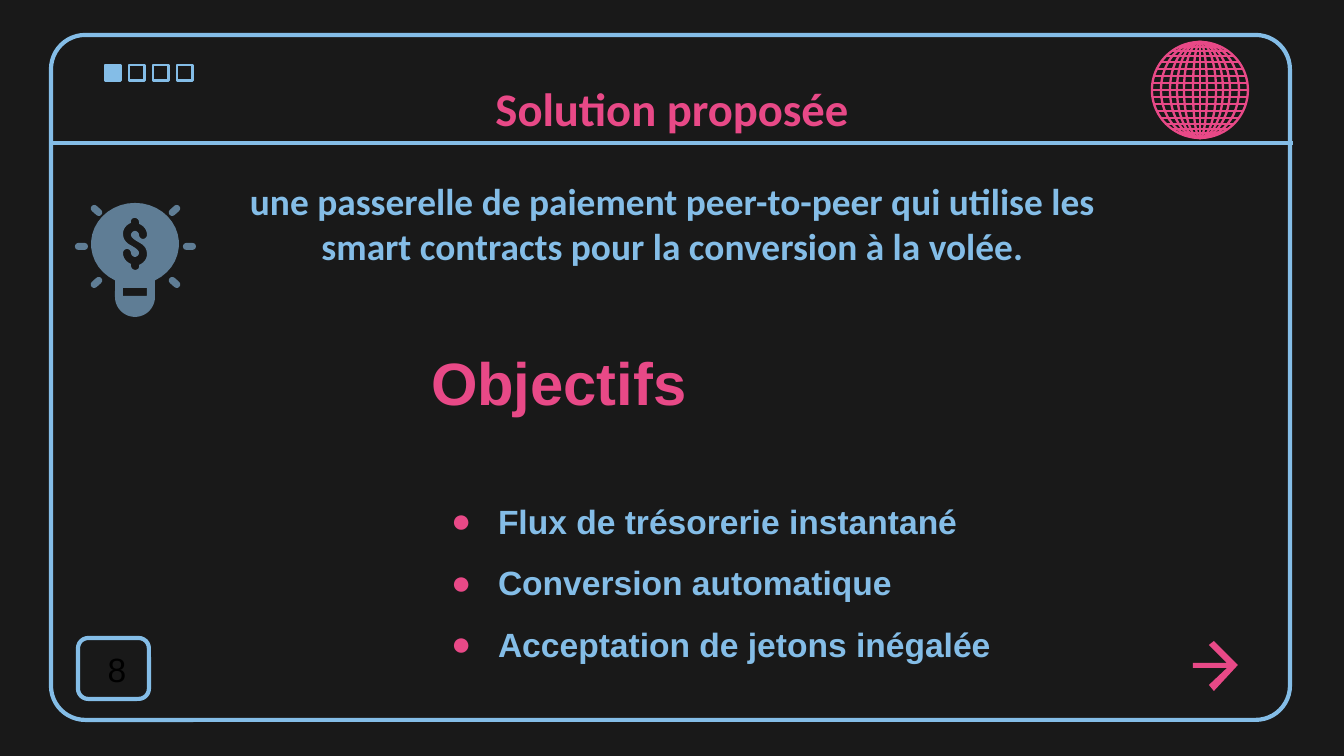
from itertools import product
from math import cos, pi, sin, sqrt

from lxml.etree import SubElement
from pptx import Presentation
from pptx.dml.color import RGBColor
from pptx.enum.shapes import MSO_CONNECTOR as Connector, MSO_SHAPE as Preset
from pptx.enum.text import MSO_ANCHOR as Anchor, MSO_AUTO_SIZE as AutoSize, PP_ALIGN as Align
from pptx.oxml.ns import qn
from pptx.util import Inches, Pt

PX = Inches(10) / 1344
COLORS = {"night": "191919", "sky": "84BDE7", "pink": "E84987", "slate": "5F7D95", "black": "000000"}
OBJECTIVES = ["Flux de trésorerie instantané", "Conversion automatique", "Acceptation de jetons inégalée"]

BULB = (135, 244)
# Right half of the dollar sign around its centre: one point is a line, three are a curve.
DOLLAR_HALF = [
    [(2, -26), (4, -24), (4, -22)], [(4, -20)],
    [(9, -18), (12, -14), (12, -9)], [(12, -7), (10, -5), (8, -5)],
    [(6, -5), (4, -7), (4, -9)], [(4, -11), (2, -13), (0, -13)],
    [(-2, -13), (-4, -11), (-4, -9)], [(-4, -6), (0, -4), (3, -2)],
    [(7, 0), (12, 3), (12, 10)], [(12, 15), (9, 19), (4, 21)],
    [(4, 23)], [(4, 25), (2, 26), (0, 26)],
]
ARROW = [(1214, 641), (1209, 645), (1227, 663), (1193, 663), (1193, 668),
         (1227, 668), (1209, 685), (1214, 691), (1238, 665)]


def emu(*lengths):
    return [round(length * PX) for length in lengths]


def color(name):
    return RGBColor.from_string(COLORS[name])


def arc(center, radii, start, end, steps=32):
    """Points along an ellipse, with angles in radians running clockwise on the slide."""
    angles = [start + (end - start) * step / steps for step in range(steps + 1)]
    return [(center[0] + radii[0] * cos(a), center[1] + radii[1] * sin(a)) for a in angles]


def trace(start, moves, steps=6):
    """Points along a chain of lines and cubic curves."""
    points = [start]
    for move in moves:
        if len(move) == 1:
            points += move
            continue
        corners = [points[-1], *move]
        for step in range(1, steps + 1):
            t = step / steps
            weights = [(1 - t) ** 3, 3 * t * (1 - t) ** 2, 3 * t * t * (1 - t), t ** 3]
            points.append(tuple(sum(w * c[axis] for w, c in zip(weights, corners)) for axis in (0, 1)))
    return points


class Board:
    """Holds the style and the current slide."""

    def __init__(self, slide):
        self.slide = slide
        self.shapes = slide.shapes
        background = slide.background.fill
        background.solid()
        background.fore_color.rgb = color("night")

    def paint(self, shape, fill=None, line=None, width=1.5):
        shape.shadow.inherit = False
        for part, name in ((shape.fill, fill), (shape.line.fill, line)):
            if name:
                part.solid()
                part.fore_color.rgb = color(name)
            else:
                part.background()
        if line:
            shape.line.width = Pt(width)

    def shape(self, preset, box, corner=None, rotation=0, **style):
        shape = self.shapes.add_shape(preset, *emu(*box))
        if corner is not None:
            shape.adjustments[0] = corner
        shape.rotation = rotation
        self.paint(shape, **style)

    def line(self, start, end, name, width):
        line = self.shapes.add_connector(Connector.STRAIGHT, *emu(*start, *end))
        line.line.color.rgb = color(name)
        line.line.width = Pt(width)
        SubElement(line._element.spPr, qn("a:effectLst"))

    def outline(self, contours, fill):
        first, *holes = [[emu(*point) for point in contour] for contour in contours]
        builder = self.shapes.build_freeform(*first[0])
        builder.add_line_segments(first[1:])
        for hole in holes:
            builder.move_to(*hole[0])
            builder.add_line_segments(hole[1:])
        self.paint(builder.convert_to_shape(), fill=fill)

    def frame(self, holder, box, insets, anchor=Anchor.TOP):
        """Place a text holder and return its text frame."""
        holder.left, holder.top, holder.width, holder.height = emu(*box)
        frame = holder.text_frame
        values = dict(zip(("margin_left", "margin_top", "margin_right", "margin_bottom"), emu(*insets)))
        values.update(word_wrap=True, auto_size=AutoSize.NONE, vertical_anchor=anchor)
        for name, value in values.items():
            setattr(frame, name, value)
        return frame

    def text_box(self, box, insets, anchor=Anchor.TOP):
        return self.frame(self.shapes.add_textbox(*emu(*box)), box, insets, anchor)

    def put_text(self, paragraph, text, name, size, font="Arial", bold=True, align=Align.LEFT, before=0, after=0):
        paragraph.text = text
        formats = {"alignment": align, "space_before": Pt(before), "space_after": Pt(after)}
        for key, value in formats.items():
            setattr(paragraph, key, value)
        for key, value in {"name": font, "size": Pt(size), "bold": bold}.items():
            setattr(paragraph.font, key, value)
        paragraph.font.color.rgb = color(name)

    def bullet(self, paragraph, sign=None, name="pink", left=0, hang=0):
        properties = paragraph._p.get_or_add_pPr()
        properties.set("marL", str(emu(left)[0]))
        properties.set("indent", str(emu(-hang)[0]))
        if sign is None:
            SubElement(properties, qn("a:buNone"))
            return
        tint = SubElement(properties, qn("a:buClr"))
        SubElement(tint, qn("a:srgbClr")).set("val", COLORS[name])
        SubElement(properties, qn("a:buChar")).set("char", sign)


def draw_frame(board):
    for index in range(4):
        board.shape(Preset.RECTANGLE, (105 + 24 * index, 65, 16, 16),
                    fill=None if index else "sky", line="sky")
    board.shape(Preset.ROUNDED_RECTANGLE, (51, 35, 1239, 685), corner=0.05, line="sky", width=2.25)
    board.line((50, 143), (1293, 143), "sky", 2.25)


def draw_bulb(board):
    x, y = BULB
    glass_and_base = arc(BULB, (44, 41), 0.65 * pi, 2.35 * pi) + arc((x, 297), (20, 20), 0, pi)
    half = trace((0, -26), DOLLAR_HALF)
    dollar = [(x + sign * dx, y + sign * dy) for sign in (1, -1) for dx, dy in half]
    slot = [(x - 12, 288), (x + 12, 288), (x + 12, 296), (x - 12, 296)]
    board.outline([glass_and_base, dollar, slot], "slate")
    for side, level in product((-1, 1), (-1, 0, 1)):
        reach = 39 if level else 54
        board.shape(Preset.ROUNDED_RECTANGLE, (x + side * reach - 6, 243 + 36 * level, 13, 7),
                    corner=0.5, rotation=42 * side * level, fill="slate")


def draw_globe(board):
    x, y, radius = 1200, 90, 48
    for half_width in (48, 39, 30, 23, 16, 7):
        board.shape(Preset.OVAL, (x - half_width, y - radius, 2 * half_width, 2 * radius),
                    line="pink", width=1.25)
    board.line((x, y - radius), (x, y + radius), "pink", 1)
    for offset in (-43, -39, -34, -28, -21, -14, -7, 0, 7, 14, 21, 28, 34, 39, 43):
        reach = round(sqrt(radius ** 2 - offset ** 2))
        board.line((x - reach, y + offset), (x + reach, y + offset), "pink", 1)


def main():
    deck = Presentation()
    deck.slide_width, deck.slide_height = emu(1344, 756)
    board = Board(deck.slides.add_slide(deck.slide_layouts[1]))
    heading, goals = board.slide.placeholders

    draw_frame(board)
    title = board.frame(heading, (106, 66, 1132, 83), (13, 13, 13, 13), Anchor.BOTTOM)
    board.put_text(title.paragraphs[0], "Solution proposée", "pink", 25, "Calibri", align=Align.CENTER)
    board.outline([ARROW], "pink")
    summary = board.text_box((212, 169, 921, 159), (13, 9, 13, 7))
    board.put_text(summary.paragraphs[0],
                   "une passerelle de paiement peer-to-peer qui utilise les smart contracts "
                   "pour la conversion à la volée.", "sky", 20, "Calibri", align=Align.CENTER)
    draw_bulb(board)
    draw_globe(board)

    board.shape(Preset.ROUNDED_RECTANGLE, (78, 638, 71, 61), corner=0.17, line="sky", width=2.25)
    number = board.text_box((87, 648, 60, 43), (0, 0, 0, 0), Anchor.MIDDLE)
    board.put_text(number.paragraphs[0], "8", "black", 18, bold=False, align=Align.CENTER)

    body = board.frame(goals, (418, 329, 703, 348), (13, 17, 13, 13))
    board.bullet(body.paragraphs[0])
    board.put_text(body.paragraphs[0], "Objectifs", "pink", 32)
    for index, objective in enumerate(OBJECTIVES):
        item = body.add_paragraph()
        board.bullet(item, "●", left=67, hang=47)
        board.put_text(item, objective, "sky", 18, before=5.7 if index else 44.5, after=5.7)
    deck.save("out.pptx")


if __name__ == "__main__":
    main()
